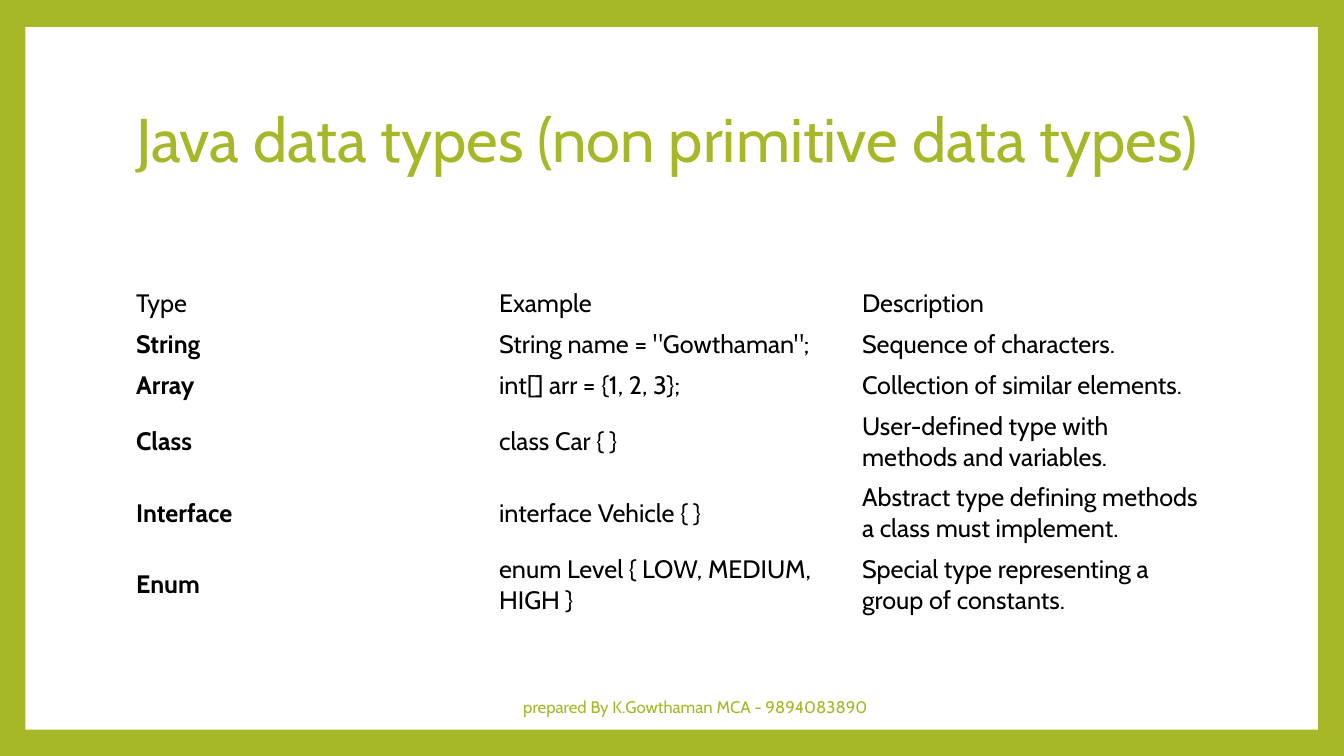
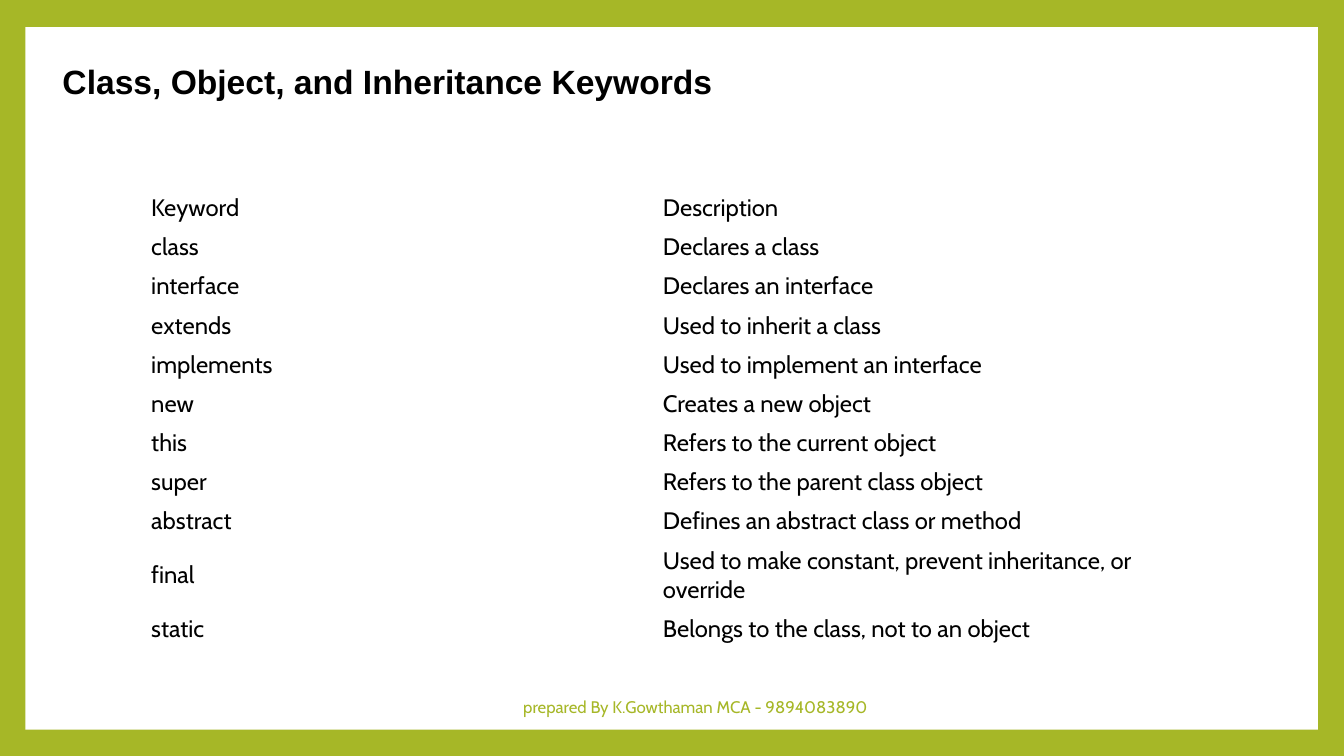
import dataclasses

import pptx
import pptx.dml.color
import pptx.enum.shapes
import pptx.enum.text
import pptx.util

Anchor = pptx.enum.text.MSO_ANCHOR
Align = pptx.enum.text.PP_ALIGN


@dataclasses.dataclass(frozen=True)
class Theme:
    """Colours, fonts and type sizes of the deck."""
    green: str = "A6B727"
    white: str = "FFFFFF"
    black: str = "000000"
    font: str = "Cabin"
    heading_font: str = "Arial"
    title: int = 44
    heading: int = 24
    table: int = 18
    dense_table: int = 17
    footer: int = 12
    plain_table: str = "{2D5ABB26-0587-4C30-8999-92F81FD0307C}"


@dataclasses.dataclass(frozen=True)
class Box:
    """A region in hundredths of the slide's width and height."""
    left: float
    top: float
    width: float
    height: float

    def place(self):
        return across(self.left), down(self.top), across(self.width), down(self.height)


THEME = Theme()
SLIDE_WIDTH = pptx.util.Inches(13.33)
SLIDE_HEIGHT = pptx.util.Inches(7.5)

FRAME = Box(1.88, 3.6, 96.17, 92.93)
FOOTER = Box(32.4, 90.8, 38.7, 5.33)
FOOTER_TEXT = "prepared By K.Gowthaman MCA - 9894083890"

DATA_TYPES = [
    ("Type", "Example", "Description"),
    ("String", 'String name = "Gowthaman";', "Sequence of characters."),
    ("Array", "int[] arr = {1, 2, 3};", "Collection of similar elements."),
    ("Class", "class Car { }", "User-defined type with methods and variables."),
    ("Interface", "interface Vehicle { }",
     "Abstract type defining methods a class must implement."),
    ("Enum", "enum Level { LOW, MEDIUM, HIGH }",
     "Special type representing a group of constants."),
]

KEYWORDS = [
    ("Keyword", "Description"),
    ("class", "Declares a class"),
    ("interface", "Declares an interface"),
    ("extends", "Used to inherit a class"),
    ("implements", "Used to implement an interface"),
    ("new", "Creates a new object"),
    ("this", "Refers to the current object"),
    ("super", "Refers to the parent class object"),
    ("abstract", "Defines an abstract class or method"),
    ("final", "Used to make constant, prevent inheritance, or override"),
    ("static", "Belongs to the class, not to an object"),
]


def across(share):
    return round(SLIDE_WIDTH * share / 100)


def down(share):
    return round(SLIDE_HEIGHT * share / 100)


def set_all(target, values):
    for name, value in values.items():
        setattr(target, name, value)


def write(frame, text, size, color, font=THEME.font, bold=False, **layout):
    """Fill a text frame with one formatted paragraph."""
    frame.text = text
    para = frame.paragraphs[0]
    set_all(para, layout)
    span = para.runs[0].font
    set_all(span, {"name": font, "size": pptx.util.Pt(size), "bold": bold})
    span.color.rgb = pptx.dml.color.RGBColor.from_string(color)


def paint(fill, color):
    fill.solid()
    fill.fore_color.rgb = pptx.dml.color.RGBColor.from_string(color)


def add_master_frame(deck, page, box):
    """Green border and white panel, kept on the slide master."""
    master = deck.slide_master
    paint(master.background.fill, THEME.green)
    panel = page.shapes.add_shape(
        pptx.enum.shapes.MSO_SHAPE.RECTANGLE, *box.place())
    panel.shadow.inherit = False
    paint(panel.fill, THEME.white)
    panel.line.fill.background()
    panel.element.nvSpPr.cNvPr.set("id", "20")
    master.shapes.element.insert(2, panel.element)


def add_title(page, box, text, size, color, wrap=True, **style):
    title = page.shapes.title
    set_all(title, dict(zip(("left", "top", "width", "height"), box.place())))
    set_all(title.text_frame, {
        "word_wrap": wrap,
        "vertical_anchor": Anchor.MIDDLE,
        "auto_size": pptx.enum.text.MSO_AUTO_SIZE.NONE,
    })
    write(title.text_frame, text, size, color, alignment=Align.LEFT, **style)


def add_footer(page, box):
    footer = page.shapes.add_textbox(*box.place())
    set_all(footer.text_frame, {"word_wrap": True, "vertical_anchor": Anchor.MIDDLE})
    write(footer.text_frame, FOOTER_TEXT, THEME.footer, THEME.green,
          alignment=Align.CENTER)


def add_plain_table(page, box, rows, heights, size, margins, bold_names=False):
    """Unruled table with equal columns; heights are shares of the slide."""
    graphic = page.shapes.add_table(len(rows), len(rows[0]), *box.place())
    table = graphic.table
    set_all(table, {"first_row": False, "horz_banding": False})
    graphic.element.graphic.graphicData.tbl.tblPr.find(
        pptx.oxml.ns.qn("a:tableStyleId")).text = THEME.plain_table
    for column in table.columns:
        column.width = across(box.width / len(rows[0]))
    for row_index, (texts, height) in enumerate(zip(rows, heights)):
        table.rows[row_index].height = down(height)
        for column_index, text in enumerate(texts):
            cell = table.cell(row_index, column_index)
            cell.fill.background()
            set_all(cell, {"vertical_anchor": Anchor.MIDDLE, **margins})
            bold = bold_names and row_index > 0 and column_index == 0
            write(cell.text_frame, text, size, THEME.black, bold=bold)


def fill_data_types(page):
    add_title(page, Box(9.38, 8.93, 81.02, 19.73),
              "Java data types (non primitive data types)",
              THEME.title, THEME.green, line_spacing=0.9)
    add_plain_table(page, Box(9.38, 37.47, 81.02, 44), DATA_TYPES,
                    [5.33] * 3 + [9.33] * 3, THEME.table, {}, bold_names=True)
    add_footer(page, FOOTER)


def fill_keywords(page):
    side, edge = pptx.util.Inches(0.09), pptx.util.Inches(0.05)
    margins = {"margin_left": side, "margin_right": side,
               "margin_top": edge, "margin_bottom": edge}
    add_plain_table(page, Box(10.58, 24.93, 76.14, 59.07), KEYWORDS,
                    [5.03] * 9 + [8.8, 5.03], THEME.dense_table, margins)
    add_title(page, Box(3.9, 7.33, 50.34, 6.67),
              "Class, Object, and Inheritance Keywords",
              THEME.heading, THEME.black, wrap=False,
              font=THEME.heading_font, bold=True)
    add_footer(page, FOOTER)


def main():
    deck = pptx.Presentation()
    set_all(deck, {"slide_width": SLIDE_WIDTH, "slide_height": SLIDE_HEIGHT})
    title_only = deck.slide_layouts[5]
    pages = [deck.slides.add_slide(title_only) for _ in range(2)]
    add_master_frame(deck, pages[0], FRAME)
    for page, fill_page in zip(pages, (fill_data_types, fill_keywords)):
        fill_page(page)
    deck.save("out.pptx")


if __name__ == "__main__":
    main()
